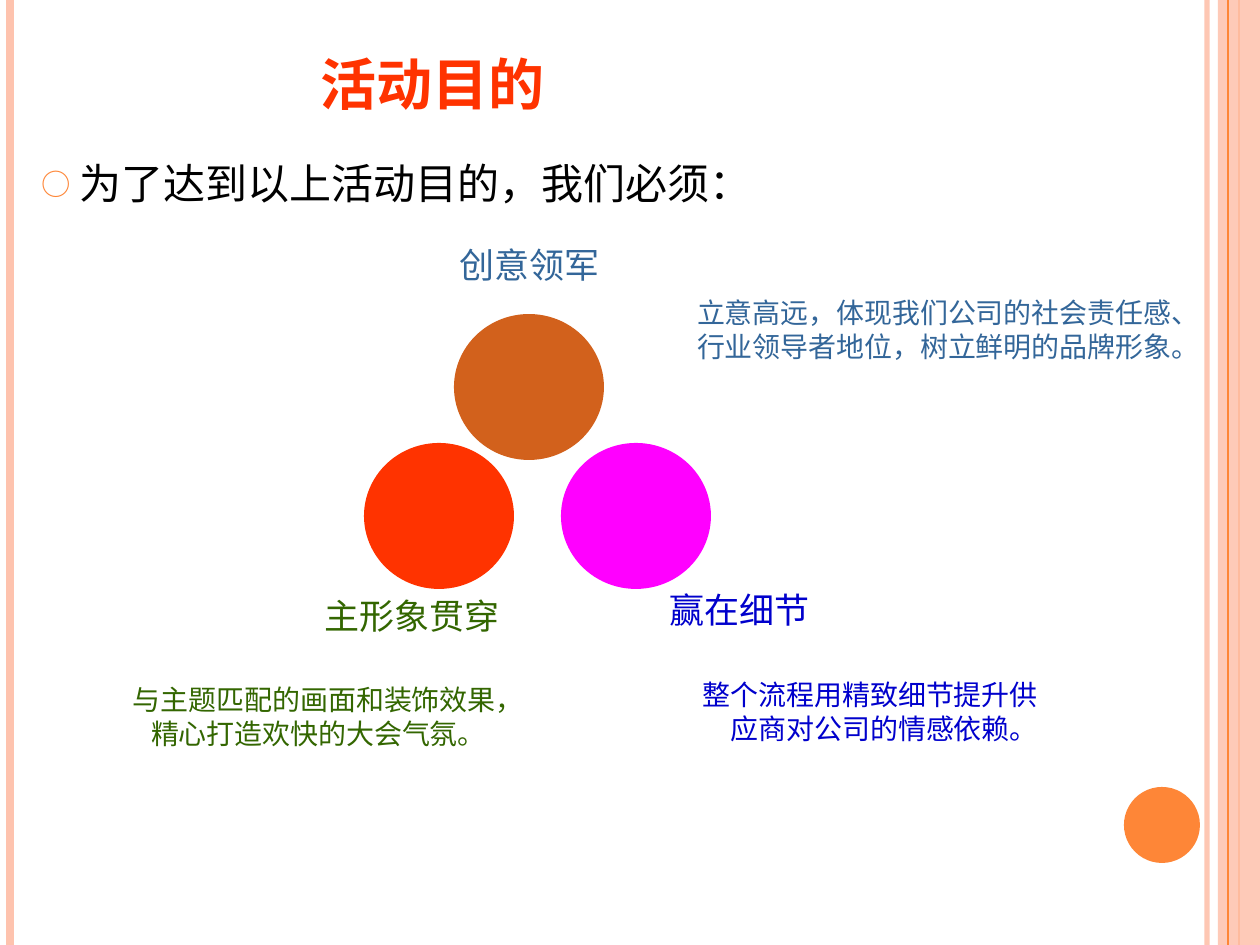
from typing import NamedTuple

from lxml.etree import SubElement
from pptx import Presentation
from pptx.dml.color import RGBColor
from pptx.enum.shapes import MSO_CONNECTOR, MSO_SHAPE
from pptx.enum.text import MSO_ANCHOR, MSO_AUTO_SIZE, PP_ALIGN
from pptx.oxml.ns import qn
from pptx.util import Pt

EMU_PER_PX = 914400 / 126
PAGE_WIDTH, PAGE_HEIGHT = 1260, 945
FONT = "Noto Sans CJK SC"
PEACH, ORANGE = "FEC3AE", "FE8637"
BLUE, NAVY, GREEN, RED = "336699", "0000CC", "336600", "FF3300"


class Stripe(NamedTuple):
    x: int
    weight: float
    color: str
    opacity: int = 100


class Block(NamedTuple):
    left: int
    top: int
    width: int
    height: int
    color: str
    opacity: int = 100


class Caption(NamedTuple):
    lines: list[str]
    left: int
    top: int
    width: int
    height: int
    size: int
    color: str
    align: PP_ALIGN = PP_ALIGN.CENTER
    last_indent: int = 0


BACK_STRIPES = [Stripe(1207, 3, PEACH, 93), Stripe(10, 4.5, PEACH), Stripe(1239, 1.5, ORANGE)]
SIDE_BAND = Block(1218, 0, 42, PAGE_HEIGHT, PEACH, 87)
FRONT_STRIPE = Stripe(1228, 0.75, ORANGE)
CIRCLES = [
    Block(1124, 787, 76, 76, ORANGE),
    Block(454, 314, 150, 146, "D2611C"),
    Block(364, 443, 150, 146, RED),
    Block(561, 443, 150, 146, "FF00FF"),
]
CAPTIONS = [
    Caption(["创意领军"], 430, 235, 200, 60, 20, BLUE),
    Caption(["赢在细节"], 640, 580, 200, 60, 20, NAVY),
    Caption(["主形象贯穿"], 312, 585, 200, 60, 20, GREEN),
    Caption(["立意高远，体现我们公司的社会责任感、", "行业领导者地位，树立鲜明的品牌形象。"],
            697, 289, 512, 80, 16, BLUE, PP_ALIGN.LEFT),
    Caption(["整个流程用精致细节提升供", "应商对公司的情感依赖。"],
            688, 671, 350, 80, 16, NAVY, PP_ALIGN.RIGHT),
    Caption(["与主题匹配的画面和装饰效果，", "精心打造欢快的大会气氛。"],
            133, 676, 400, 80, 16, GREEN, PP_ALIGN.LEFT, 18),
]


def px(length: int) -> int:
    return round(length * EMU_PER_PX)


def rgb(color: str) -> RGBColor:
    return RGBColor.from_string(color)


def paint(fill, color: str, opacity: int = 100) -> None:
    fill.solid()
    fill.fore_color.rgb = rgb(color)
    if opacity < 100:
        # python-pptx has no public setting for transparency
        element = fill._xPr.find(".//" + qn("a:srgbClr"))
        SubElement(element, qn("a:alpha"), val=str(opacity * 1000))


def draw_stripe(page, stripe: Stripe) -> None:
    x = px(stripe.x)
    line = page.shapes.add_connector(MSO_CONNECTOR.STRAIGHT, x, 0, x, px(PAGE_HEIGHT))
    line.line.width = Pt(stripe.weight)
    paint(line.line.fill, stripe.color, stripe.opacity)
    SubElement(line._element.spPr, qn("a:effectLst"))


def draw_block(page, kind: MSO_SHAPE, block: Block) -> None:
    shape = page.shapes.add_shape(
        kind, px(block.left), px(block.top), px(block.width), px(block.height))
    paint(shape.fill, block.color, block.opacity)
    shape.line.fill.background()
    shape.shadow.inherit = False


def format_span(span, size: int, color: str, bold: bool = False) -> None:
    """Set the Latin and the East Asian typeface, size, weight and colour."""
    span.font.name = FONT
    span.font.size = Pt(size)
    span.font.bold = bold
    span.font.color.rgb = rgb(color)
    SubElement(span._r.get_or_add_rPr(), qn("a:ea"), typeface=FONT)


def draw_caption(page, caption: Caption) -> None:
    box = page.shapes.add_textbox(
        px(caption.left), px(caption.top), px(caption.width), px(caption.height))
    frame = box.text_frame
    frame.word_wrap = True
    frame.vertical_anchor = MSO_ANCHOR.MIDDLE
    frame.margin_left = frame.margin_right = frame.margin_top = frame.margin_bottom = 0
    frame.text = "\n".join(caption.lines)
    for para in frame.paragraphs:
        para.alignment = caption.align
        if len(caption.lines) > 1:
            para.line_spacing = Pt(19.4)
        format_span(para.runs[0], caption.size, caption.color)
    if caption.last_indent:
        frame.paragraphs[-1]._p.get_or_add_pPr().set("marL", str(px(caption.last_indent)))


def fill_placeholder(holder, text: str, left: int, top: int, width: int, height: int):
    """Move a placeholder, set its text and return its only paragraph."""
    holder.left, holder.top = px(left), px(top)
    holder.width, holder.height = px(width), px(height)
    frame = holder.text_frame
    frame.auto_size = MSO_AUTO_SIZE.NONE
    frame.text = text
    para = frame.paragraphs[0]
    para.alignment = PP_ALIGN.LEFT
    return para


def add_ring_bullet(para) -> None:
    properties = para._p.get_or_add_pPr()
    properties.set("marL", str(px(38)))
    properties.set("indent", str(px(-38)))
    SubElement(SubElement(properties, qn("a:buClr")), qn("a:srgbClr"), val=ORANGE)
    SubElement(properties, qn("a:buSzPct"), val="70000")
    SubElement(properties, qn("a:buFont"), typeface=FONT)
    SubElement(properties, qn("a:buChar"), char="○")


def main() -> None:
    deck = Presentation()
    deck.slide_width, deck.slide_height = px(PAGE_WIDTH), px(PAGE_HEIGHT)
    page = deck.slides.add_slide(deck.slide_layouts[1])

    title = fill_placeholder(page.shapes.title, "活动目的", 308, 4, 500, 158)
    page.shapes.title.text_frame.vertical_anchor = MSO_ANCHOR.MIDDLE
    format_span(title.runs[0], 32, RED, bold=True)

    body = fill_placeholder(
        page.placeholders[1], "为了达到以上活动目的，我们必须：", 29, 151, 867, 630)
    body.space_before = Pt(6)
    add_ring_bullet(body)
    format_span(body.runs[0], 24, "000000")

    for stripe in BACK_STRIPES:
        draw_stripe(page, stripe)
    draw_block(page, MSO_SHAPE.RECTANGLE, SIDE_BAND)
    draw_stripe(page, FRONT_STRIPE)
    for circle in CIRCLES:
        draw_block(page, MSO_SHAPE.OVAL, circle)
    for caption in CAPTIONS:
        draw_caption(page, caption)

    deck.save("out.pptx")


if __name__ == "__main__":
    main()
